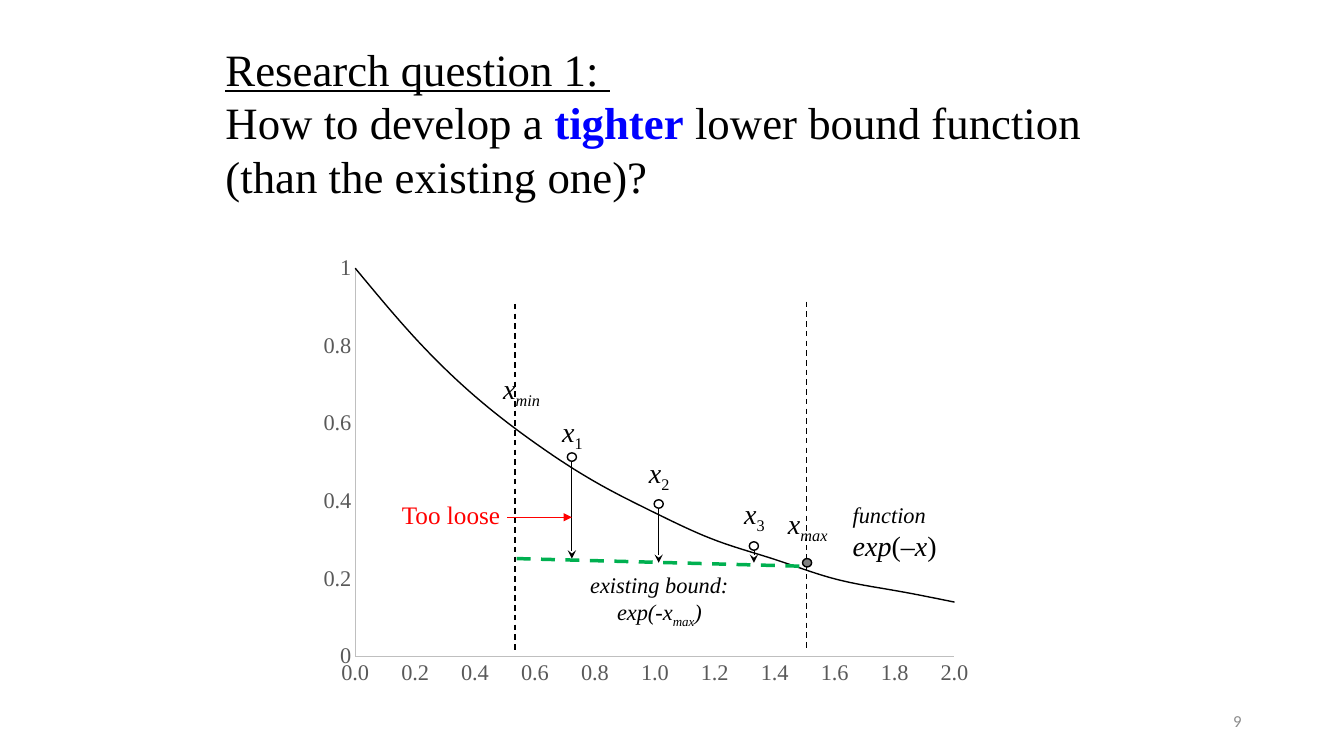
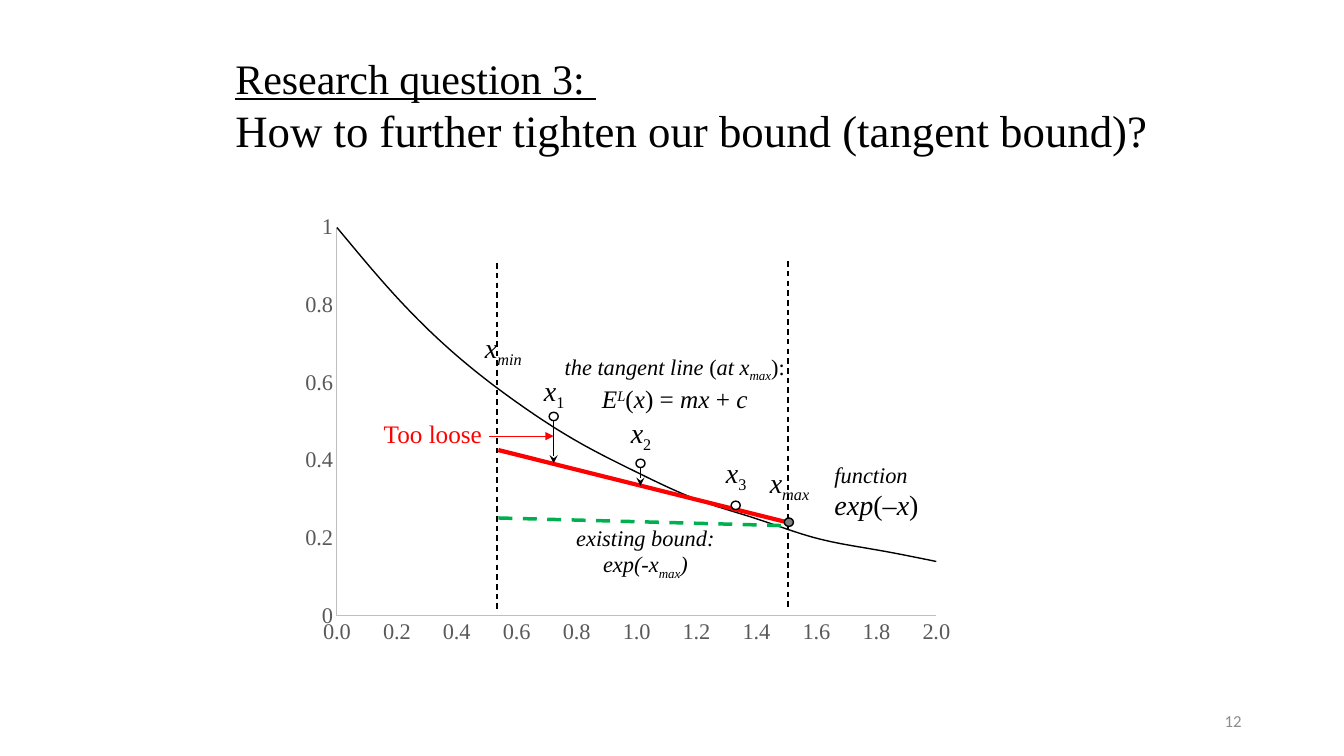
from math import exp

from lxml import etree
from pptx import Presentation
from pptx import util as u
from pptx.chart.data import XyChartData
from pptx.dml.color import RGBColor
from pptx.enum import chart as ch, dml, shapes, text
from pptx.oxml.ns import qn

Pt = u.Pt
tint = RGBColor.from_string
BLACK, WHITE, GREY = "000000", "FFFFFF", "808080"
RED, GREEN, BLUE = "FF0000", "00B050", "0000FF"
AXIS, TICK, FOOT = "BFBFBF", "595959", "8C8C8C"
SERIF, SANS = "Times New Roman", "Calibri"
LEFT, MID, RIGHT = text.PP_ALIGN.LEFT, text.PP_ALIGN.CENTER, text.PP_ALIGN.RIGHT
DASH = dml.MSO_LINE.DASH


def write(page, box, paras, align=LEFT, wrap=False, face=SERIF):
    frame = page.shapes.add_textbox(*map(Pt, box)).text_frame
    frame.word_wrap = wrap
    for n, runs in enumerate(paras):
        para = frame.paragraphs[0] if n == 0 else frame.add_paragraph()
        para.alignment = align
        for words, marks, size, *hue in runs:
            run = para.add_run()
            run.text = words
            font = run.font
            font.name, font.size = face, Pt(size)
            font.color.rgb = tint(hue[0] if hue else BLACK)
            font.italic, font.bold = "i" in marks, "b" in marks
            font.underline = "u" in marks
            if "_" in marks:
                font._element.set("baseline", "-25000")
            if "^" in marks:
                font._element.set("baseline", "30000")
    return frame


def rule(page, ends, hue, width, dash=None, head=None):
    link = page.shapes.add_connector(shapes.MSO_CONNECTOR.STRAIGHT, *map(Pt, ends))
    link.line.color.rgb = tint(hue)
    link.line.width = Pt(width)
    if dash:
        link.line.dash_style = dash
    props = link._element.spPr
    if head:
        etree.SubElement(props.find(qn("a:ln")), qn("a:tailEnd")).set("type", head)
    etree.SubElement(props, qn("a:effectLst"))


deck = Presentation()
deck.slide_width, deck.slide_height = Pt(960), Pt(540)

pages = [
    dict(
        num="9", left=222, top=176.5, title=(154, 26, 657, 124),
        lines=[
            [("Research question 1: ", "u", 32)],
            [("How to develop a ", "", 32), ("tighter", "b", 32, BLUE),
             (" lower bound function", "", 32)],
            [("(than the existing one)?", "", 32)],
        ],
        drops=[222.5, 225.5, 225.5], loose=176.5, bound=(191.5, 228), tangent=False,
    ),
    dict(
        num="12", left=209, top=147.5, title=(161, 34, 683, 82),
        lines=[
            [("Research question 3: ", "u", 30)],
            [("How to further tighten our bound (tangent bound)?", "", 32)],
        ],
        drops=[183.5, 199.5, None], loose=147.5, bound=(194.5, 223), tangent=True,
    ),
]
points = [("1", 186.5, 147, 116), ("2", 248.5, 180.5, 145.5), ("3", 316.5, 210.5, 174.5)]
limits = [("min", 129, 85, 43), ("max", 332.5, 181.5, 45)]

for plan in pages:
    page = deck.slides.add_slide(deck.slide_layouts[6])
    x, y = plan["left"], plan["top"]

    write(page, plan["title"], plan["lines"], wrap=True)
    foot = write(page, (678, 500.5, 216, 29), [[(plan["num"], "", 12, FOOT)]],
                 RIGHT, True, SANS)
    foot.vertical_anchor = text.MSO_ANCHOR.MIDDLE

    data = XyChartData()
    curve = data.add_series("Series 1")
    for n in range(11):
        curve.add_data_point(n / 5, round(exp(-n / 5), 2))
    chart = page.shapes.add_chart(
        ch.XL_CHART_TYPE.XY_SCATTER_SMOOTH_NO_MARKERS,
        Pt(x), Pt(y), Pt(480), Pt(320), data).chart
    chart.has_legend = chart.has_title = False
    chart.font.name, chart.font.size = SANS, Pt(10)
    plot = chart.plots[0]
    plot.vary_by_categories = False
    series = plot.series[0]
    series.format.line.color.rgb = tint(BLACK)
    series.format.line.width = Pt(1)
    series._element.find(qn("c:smooth")).set("val", "1")
    for axis, top, form in ((chart.category_axis, 2, "#,##0.0"),
                            (chart.value_axis, 1, "General")):
        axis.has_major_gridlines = False
        axis.minimum_scale, axis.maximum_scale, axis.major_unit = 0, top, 0.2
        axis.major_tick_mark = axis.minor_tick_mark = ch.XL_TICK_MARK.NONE
        axis.format.line.color.rgb = tint(AXIS)
        axis.format.line.width = Pt(0.75)
        labels = axis.tick_labels
        labels.number_format, labels.number_format_is_linked = form, False
        labels.font.name, labels.font.size = SERIF, Pt(16)
        labels.font.color.rgb = tint(TICK)
    area = chart._chartSpace.chart.plotArea
    for old in area.findall(qn("c:layout")):
        area.remove(old)
    layout = etree.Element(qn("c:layout"))
    area.insert(0, layout)
    manual = etree.SubElement(layout, qn("c:manualLayout"))
    for tag, val in (("layoutTarget", "inner"), ("xMode", "edge"), ("yMode", "edge"),
                     ("x", "0.066"), ("y", "0.047"), ("w", "0.892"), ("h", "0.867")):
        etree.SubElement(manual, qn("c:" + tag)).set("val", val)

    rule(page, (x + 146, y + 40.5, x + 146, y + 288.5), BLACK, 1, DASH)
    rule(page, (x + 354, y + 39, x + 354, y + 287), BLACK, 1, DASH)
    rule(page, (x + 147, y + 222.5, x + 352, y + 228), GREEN, 2.5, DASH)
    if plan["tangent"]:
        rule(page, (x + 147, y + 174, x + 355, y + 226), RED, 3)
        write(page, (x + 173, y + 101, 200, 49), [
            [("the tangent line ", "i", 16), ("(", "", 16), ("at x", "i", 16),
             ("max", "i_", 16), ("):", "", 16)],
            [("E", "i", 18), ("L", "i^", 18), ("(", "", 18), ("x", "i", 18),
             (") = ", "", 18), ("mx", "i", 18), (" + ", "", 18), ("c", "i", 18)],
        ], MID, True)

    for (sub, px, py, ty), drop in zip(points, plan["drops"]):
        if drop:
            rule(page, (x + px, y + py + 3, x + px, y + drop), BLACK, 0.5, head="stealth")
        write(page, (x + px - 14, y + ty, 30, 32), [[("x", "i", 20), (sub, "_", 20)]])
    for sub, px, py, wide in limits:
        write(page, (x + px, y + py, wide, 32), [[("x", "i", 20), (sub, "i_", 20)]], MID)
    dots = [(px, py, WHITE) for _, px, py, _ in points] + [(354.5, 222.5, GREY)]
    for px, py, hue in dots:
        dot = page.shapes.add_shape(shapes.MSO_SHAPE.OVAL,
                                    Pt(x + px - 3.25), Pt(y + py), Pt(6.5), Pt(6))
        dot.shadow.inherit = False
        dot.fill.solid()
        dot.fill.fore_color.rgb = tint(hue)
        dot.line.color.rgb = tint(BLACK)
        dot.line.width = Pt(1)

    write(page, (x + 380, y + 178, 75, 52), [
        [("function", "i", 16)],
        [("exp", "i", 20), ("(", "", 20), ("–x", "i", 20), (")", "", 20)],
    ])
    bx, by = plan["bound"]
    write(page, (x + bx, y + by, 115, 46), [
        [("existing bound:", "i", 16)],
        [("exp(-x", "i", 16), ("max", "i_", 16), (")", "i", 16)],
    ], MID)
    mark = y + plan["loose"]
    write(page, (x + 58, mark, 86, 29), [[("Too loose", "", 18, RED)]])
    rule(page, (x + 140.5, mark + 16.5, x + 186.5, mark + 16.5), RED, 0.5, head="triangle")

deck.save("out.pptx")
